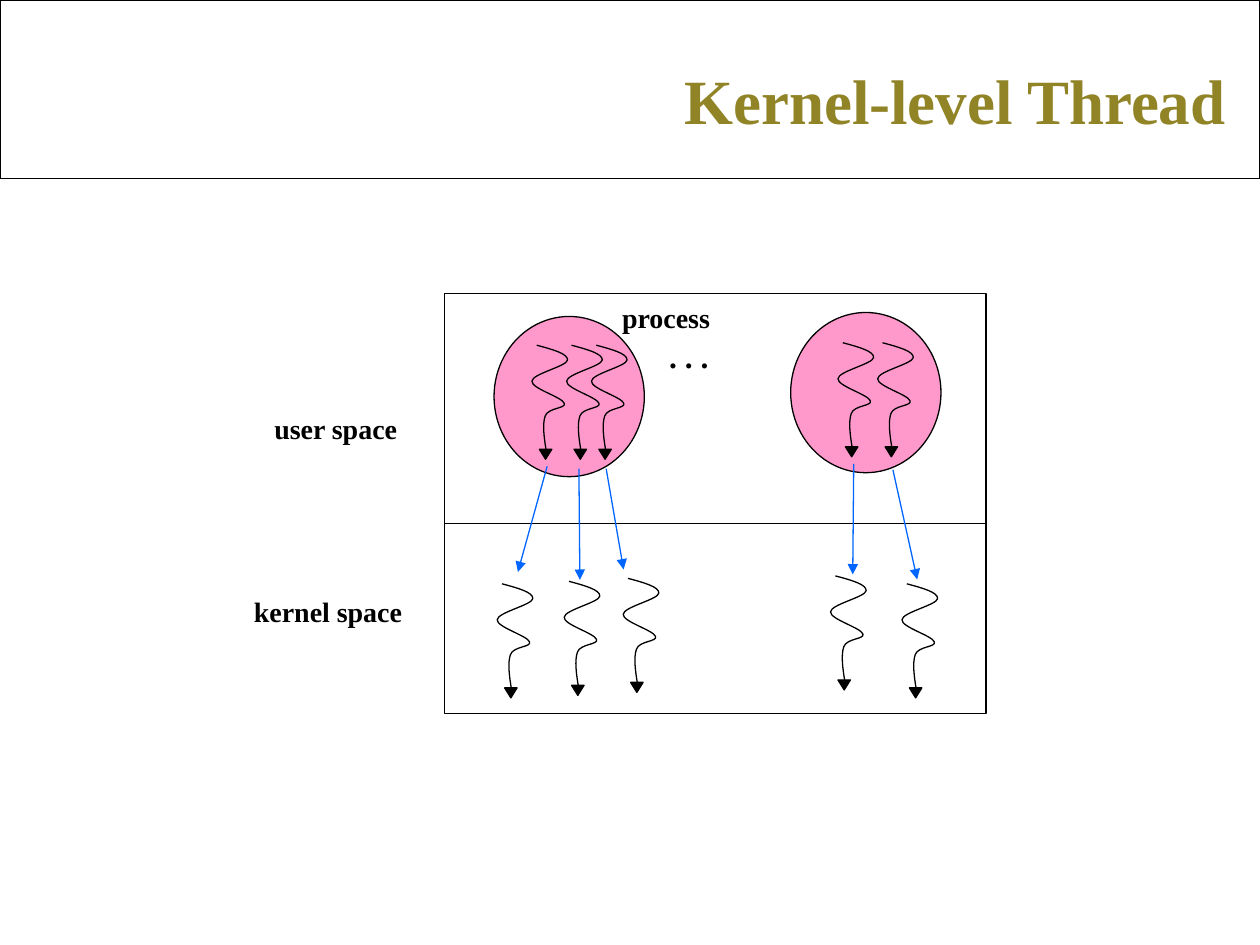
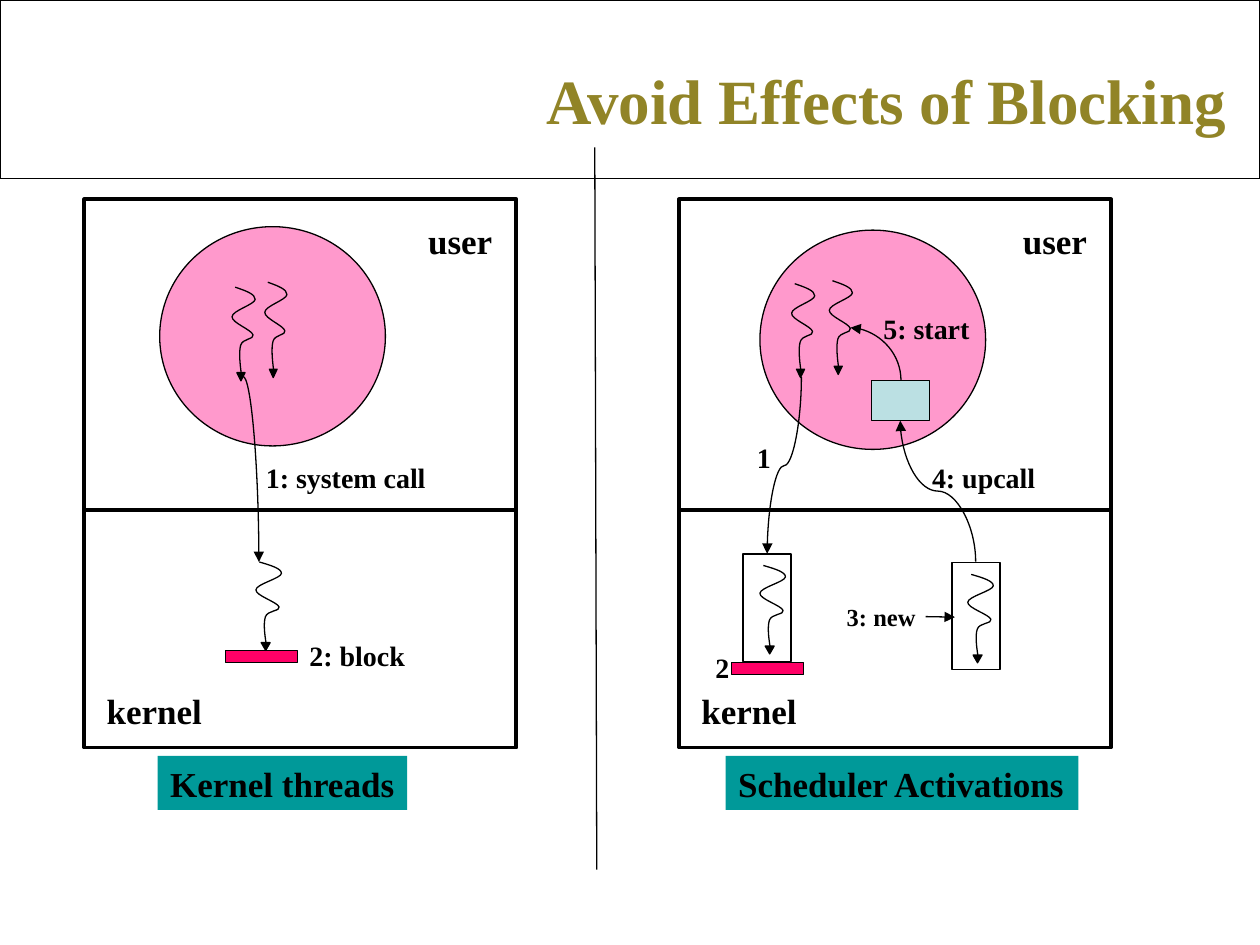
import pptx
import pptx.dml.color
import pptx.enum.shapes
import pptx.enum.text
import pptx.oxml
import pptx.oxml.ns
import pptx.util

Cm = pptx.util.Cm
KIND = pptx.enum.shapes.MSO_SHAPE
LINK = pptx.enum.shapes.MSO_CONNECTOR
ALIGN = pptx.enum.text.PP_ALIGN
ANCHOR = pptx.enum.text.MSO_ANCHOR
qn = pptx.oxml.ns.qn
DRAWING = pptx.oxml.ns.nsdecls("a")

# Shared look
COLOURS = {
    "ink": "000000", "paper": "FFFFFF", "title": "918427", "process": "FF99CC",
    "mapping": "0066FF", "blocked": "FF0066", "caption": "009999",
    "scheduler": "BBE0E3",
}
FONT = {"name": "Times New Roman", "bold": True}
THIN, THICK = 0.75, 2.25
LINE_HEIGHT = {14: 0.84, 16: 0.94, 18: 1.96, 20: 1.09, 36: 2.34}
BAND = (0, 0, 25.4, 3.6)

# Thread wave as fractions of its box: a start, then cubic curves
WAVE = [
    (0.15, 0), (0.58, 0.04), (1, 0.08), (0.99, 0.14),
    (0.97, 0.2), (0.03, 0.27), (0.02, 0.34),
    (0, 0.41), (0.84, 0.49), (0.9, 0.55),
    (0.96, 0.6), (0.46, 0.59), (0.38, 0.67),
    (0.3, 0.75), (0.35, 0.88), (0.41, 1),
]

# Slide 1 content (lengths in cm)
SPACES = {"box": (8.96, 5.92, 10.92, 8.47), "border_y": 10.56}
PROCESSES = [(9.96, 6.38), (15.94, 6.3)]
PROCESS_SIZE = (3.03, 3.23)
USER_THREADS = [(10.71, 6.96), (11.41, 6.96), (11.91, 6.96), (16.88, 6.91), (17.68, 6.91)]
KERNEL_THREADS = [(10.01, 11.77), (11.36, 11.72), (12.55, 11.66), (16.73, 11.61), (18.17, 11.77)]
THREAD_SIZE = (0.74, 2.13)
MAPPINGS = [
    (11.03, 9.4, 10.44, 11.53), (11.67, 9.45, 11.69, 11.69),
    (12.22, 9.45, 12.57, 11.48), (17.21, 9.35, 17.19, 11.58),
    (18, 9.47, 18.49, 11.68),
]
SPACE_LABELS = [
    (". . .", 13.24, 6.67, 2.21, 18), ("user space", 5.28, 8.18, 3.53, 16),
    ("kernel space", 4.87, 11.86, 4.11, 16), ("process", 12.29, 5.93, 2.31, 16),
]

# Slide 2 content (lengths in cm)
PANEL_TOP, PANEL_SIZE, PANEL_BORDER_Y = 4.02, (8.71, 11.05), 10.29
BLOB_SIZE, BAR_SIZE, ACTIVATION_SIZE = (4.55, 4.42), (1.45, 0.25), (0.97, 2.16)
SCHEDULER = (17.57, 7.67, 1.17, 0.81)
SEPARATOR = (11.99, 2.97, 12.03, 17.53)
NEW_ARROW = (18.66, 12.43, 19.25, 12.44)
PANELS = [
    {
        "left": 1.7, "process": (3.22, 4.57), "blocked": (4.55, 13.11),
        "caption": ("Kernel threads", 3.18, 5.03),
        "threads": [(5.33, 5.69, 0.46, 1.78), (4.67, 5.79, 0.48, 1.75),
                    (5.15, 11.33, 0.53, 1.65)],
        "activations": [],
        "labels": [("1: system call", 5.11, 9.15, 3.76, 16),
                   ("2: block", 5.99, 12.75, 2.44, 16)],
        # box, rotation, mirrored, preset
        "calls": [((4.9, 7.59, 0.32, 3.74), 0, False, "curvedConnector2")],
    },
    {
        "left": 13.69, "process": (15.32, 4.64), "blocked": (14.75, 13.35),
        "caption": ("Scheduler Activations", 14.63, 7.11),
        "threads": [(15.95, 5.72, 0.48, 1.75), (16.71, 5.66, 0.48, 1.75),
                    (15.31, 11.4, 0.53, 1.65), (19.5, 11.58, 0.53, 1.65)],
        "activations": [(14.98, 11.17), (19.19, 11.34)],
        "labels": [("1", 15.01, 8.76, 0.79, 16), ("2", 14.17, 12.99, 0.79, 16),
                   ("3: new", 16.82, 12.01, 1.9, 14),
                   ("4: upcall", 18.54, 9.15, 2.59, 16),
                   ("5: start", 17.56, 6.15, 2.26, 16)],
        "calls": [((14.03, 9.04, 3.56, 0.69), 90, False, "curvedConnector3"),
                  ((17.49, 9.14, 2.84, 1.52), 90, True, "curvedConnector3"),
                  ((17.12, 6.63, 1.07, 1.02), 90, True, "curvedConnector2")],
    },
]


def rgb(name):
    return pptx.dml.color.RGBColor.from_string(COLOURS[name])


def assign(target, values):
    for key, value in values.items():
        setattr(target, key, value)


def style(shape, fill=None, line="ink", width=THIN):
    shape.shadow.inherit = False
    if fill:
        shape.fill.solid()
        shape.fill.fore_color.rgb = rgb(fill)
    else:
        shape.fill.background()
    if line:
        shape.line.color.rgb = rgb(line)
        shape.line.width = pptx.util.Pt(width)
    else:
        shape.line.fill.background()
    return shape


def block(slide, kind, box, **look):
    return style(slide.shapes.add_shape(kind, *map(Cm, box)), **look)


def write(shape, text, size, colour="ink", align=ALIGN.LEFT, anchor=ANCHOR.TOP, wrap=False):
    assign(shape.text_frame, {"word_wrap": wrap, "vertical_anchor": anchor})
    paragraph = shape.text_frame.paragraphs[0]
    paragraph.alignment = align
    run = paragraph.add_run()
    run.text = text
    assign(run.font, {**FONT, "size": pptx.util.Pt(size)})
    run.font.color.rgb = rgb(colour)


def label(slide, text, left, top, width, size, **look):
    box = (left, top, width, LINE_HEIGHT[size])
    write(slide.shapes.add_textbox(*map(Cm, box)), text, size, **look)


def link(slide, ends, kind=LINK.STRAIGHT, colour="ink", width=THIN, arrow=False):
    connector = slide.shapes.add_connector(kind, *map(Cm, ends))
    connector.line.color.rgb = rgb(colour)
    connector.line.width = pptx.util.Pt(width)
    properties = connector._element.spPr
    if arrow:
        outline = properties.find(qn("a:ln"))
        outline.append(pptx.oxml.parse_xml(f'<a:tailEnd {DRAWING} type="triangle"/>'))
    properties.append(pptx.oxml.parse_xml(f"<a:effectLst {DRAWING}/>"))
    return connector


def call(slide, box, rotation, mirrored, preset):
    left, top, width, height = box
    ends = (left, top, left + width, top + height)
    properties = link(slide, ends, LINK.CURVE, arrow=True)._element.spPr
    properties.find(qn("a:prstGeom")).set("prst", preset)
    frame = properties.find(qn("a:xfrm"))
    if rotation:
        frame.set("rot", str(rotation * 60000))
    if mirrored:
        frame.set("flipH", "1")


def bend(outline):
    """Turn each three straight segments into one cubic curve."""
    segments = list(outline._element.iter(qn("a:lnTo")))
    for first in range(0, len(segments), 3):
        curve = pptx.oxml.parse_xml(f"<a:cubicBezTo {DRAWING}/>")
        segments[first].addprevious(curve)
        for segment in segments[first:first + 3]:
            curve.append(segment[0])
            segment.getparent().remove(segment)


def thread(slide, left, top, width, height):
    points = [(Cm(left + x * width), Cm(top + y * height)) for x, y in WAVE]
    builder = slide.shapes.build_freeform(*points[0])
    builder.add_line_segments(points[1:], close=False)
    outline = style(builder.convert_to_shape())
    bend(outline)
    # Arrowhead at the foot of the wave
    tip = (left + 0.22 * width, top + 0.985 * height, 0.34 * width, 0.095 * height)
    head = block(slide, KIND.ISOSCELES_TRIANGLE, tip, fill="ink")
    head._element.spPr.find(qn("a:xfrm")).set("flipV", "1")


def share_band(slide, layout):
    band = block(slide, KIND.RECTANGLE, BAND, fill="paper")
    layout.shapes._spTree.append(band._element)


def titled_slide(deck, title):
    slide = deck.slides.add_slide(deck.slide_layouts[6])
    if len(deck.slides) == 1:
        share_band(slide, slide.slide_layout)
    label(slide, title, 6.55, 0.84, 18.42, 36, colour="title",
          align=ALIGN.RIGHT, anchor=ANCHOR.MIDDLE, wrap=True)
    return slide


def kernel_level_thread(deck):
    slide = titled_slide(deck, "Kernel-level Thread")
    left, _, width, _ = SPACES["box"]
    block(slide, KIND.RECTANGLE, SPACES["box"])
    link(slide, (left, SPACES["border_y"], left + width, SPACES["border_y"]))
    for corner in PROCESSES:
        block(slide, KIND.OVAL, corner + PROCESS_SIZE, fill="process")
    for corner in USER_THREADS + KERNEL_THREADS:
        thread(slide, *corner, *THREAD_SIZE)
    for ends in MAPPINGS:
        link(slide, ends, colour="mapping", arrow=True)
    for words in SPACE_LABELS:
        label(slide, *words)


def panel(slide, part):
    left, (width, height) = part["left"], PANEL_SIZE
    block(slide, KIND.OVAL, part["process"] + BLOB_SIZE, fill="process")
    block(slide, KIND.RECTANGLE, (left, PANEL_TOP, width, height), width=THICK)
    link(slide, (left, PANEL_BORDER_Y, left + width, PANEL_BORDER_Y), width=THICK)
    label(slide, "user", left + 6.68, 4.3, 1.8, 20)
    label(slide, "kernel", left + 0.2, 13.78, 2.44, 20)
    block(slide, KIND.RECTANGLE, part["blocked"] + BAR_SIZE, fill="blocked")
    for box in part["threads"]:
        thread(slide, *box)
    for corner in part["activations"]:
        block(slide, KIND.RECTANGLE, corner + ACTIVATION_SIZE)
    for route in part["calls"]:
        call(slide, *route)
    for words in part["labels"]:
        label(slide, *words)
    text, caption_left, caption_width = part["caption"]
    box = (caption_left, 15.24, caption_width, LINE_HEIGHT[20])
    write(block(slide, KIND.RECTANGLE, box, fill="caption", line=None), text, 20)


def avoid_blocking(deck):
    slide = titled_slide(deck, "Avoid Effects of Blocking")
    for part in PANELS:
        panel(slide, part)
    block(slide, KIND.RECTANGLE, SCHEDULER, fill="scheduler")
    link(slide, NEW_ARROW, arrow=True)
    link(slide, SEPARATOR)


def main():
    deck = pptx.Presentation()
    assign(deck, {"slide_width": Cm(25.4), "slide_height": Cm(19.05)})
    kernel_level_thread(deck)
    avoid_blocking(deck)
    deck.save("out.pptx")


if __name__ == "__main__":
    main()
